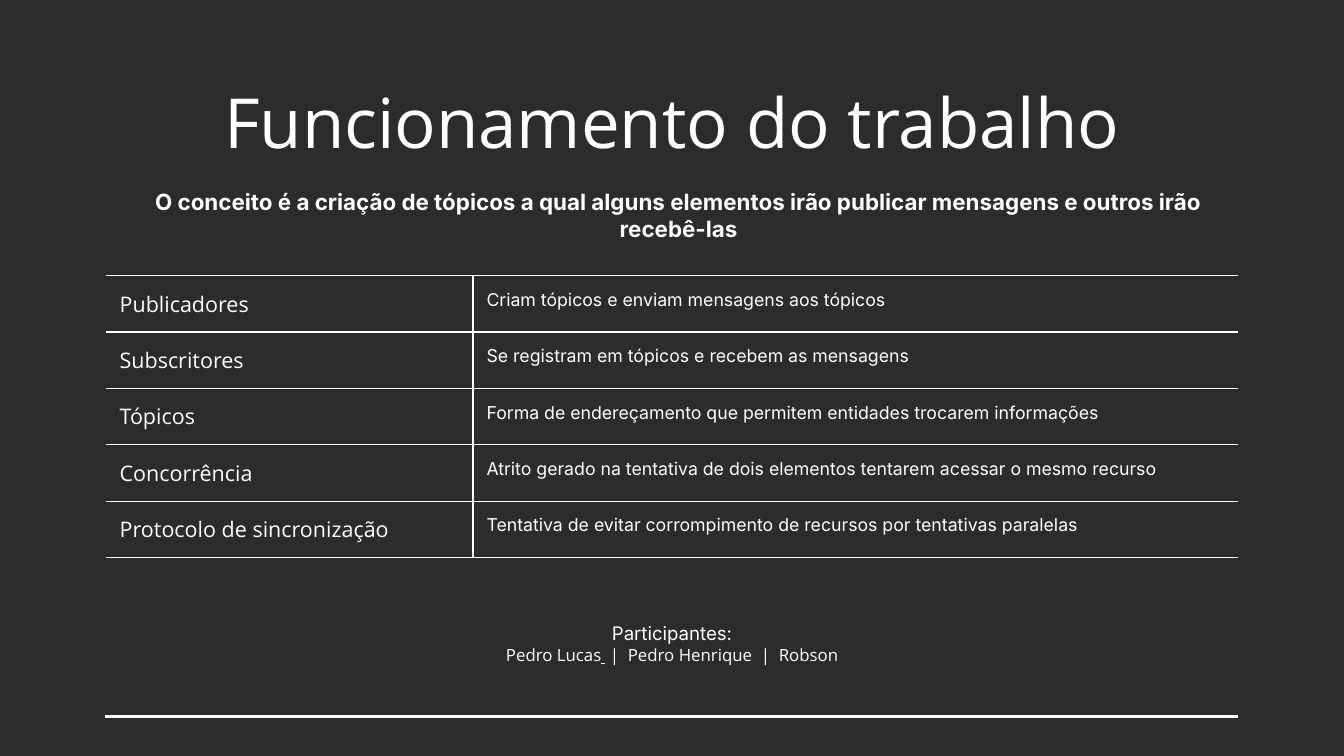
from lxml import etree
from pptx import Presentation
from pptx.dml.color import RGBColor
from pptx.enum.shapes import MSO_CONNECTOR
from pptx.enum.text import MSO_ANCHOR, PP_ALIGN
from pptx.oxml.ns import qn
from pptx.util import Inches, Pt

STRAIGHT = MSO_CONNECTOR.STRAIGHT
TOP = MSO_ANCHOR.TOP
LEFT, CENTER = PP_ALIGN.LEFT, PP_ALIGN.CENTER

COLORS = {"back": "2C2C2C", "text": "FFFFFF", "rule": "FFFFFF"}
HEAD, BODY = "Open Sans", "Inter"
PAD = 0.1
ROW = 0.42
TERMS = [
    ("Publicadores", "Criam tópicos e enviam mensagens aos tópicos"),
    ("Subscritores", "Se registram em tópicos e recebem as mensagens"),
    ("Tópicos", "Forma de endereçamento que permitem entidades trocarem informações"),
    ("Concorrência", "Atrito gerado na tentativa de dois elementos tentarem acessar o mesmo recurso"),
    ("Protocolo de sincronização", "Tentativa de evitar corrompimento de recursos por tentativas paralelas"),
]


def color(name):
    """Return the named colour."""
    return RGBColor.from_string(COLORS[name])


def add_run(para, text, font, size, bold=False, line=False):
    """Add one styled run to a paragraph."""
    run = para.add_run()
    run.text = text
    run.font.name = font
    run.font.size = Pt(size)
    run.font.bold = bold
    run.font.underline = line
    run.font.color.rgb = color("text")


def add_box(slide, box, right=PAD):
    """Add a wrapped text box and return its centred first paragraph."""
    frame = slide.shapes.add_textbox(*map(Inches, box)).text_frame
    frame.word_wrap = True
    frame.vertical_anchor = TOP
    frame.margin_left = frame.margin_top = frame.margin_bottom = Inches(PAD)
    frame.margin_right = Inches(right)
    para = frame.paragraphs[0]
    para.alignment = CENTER
    return para


def set_edges(cell, shown):
    """Draw the shown edges of a cell and clear the others."""
    props = cell._tc.get_or_add_tcPr()
    for i, side in enumerate("LRTB"):
        edge = etree.Element(qn(f"a:ln{side}"), w=str(Pt(0.75)))
        if side in shown:
            fill = etree.SubElement(edge, qn("a:solidFill"))
            etree.SubElement(fill, qn("a:srgbClr"), val=COLORS["rule"])
        else:
            etree.SubElement(edge, qn("a:noFill"))
        props.insert(i, edge)


def add_cell(cell, text, font, size, shown):
    """Fill one table cell."""
    cell.fill.background()
    cell.margin_left = cell.margin_right = Inches(PAD)
    cell.margin_top = cell.margin_bottom = Inches(PAD)
    cell.vertical_anchor = TOP
    para = cell.text_frame.paragraphs[0]
    para.alignment = LEFT
    add_run(para, text, font, size)
    set_edges(cell, shown)


def add_terms(slide, box):
    """Add the table of terms and their meanings."""
    frame = slide.shapes.add_table(len(TERMS), 2, *map(Inches, box))
    table = frame.table
    table.first_row = table.horz_banding = False
    first = 2.73
    table.columns[0].width = Inches(first)
    table.columns[1].width = Inches(box[2] - first)
    for i, (term, sense) in enumerate(TERMS):
        table.rows[i].height = Inches(ROW)
        add_cell(table.cell(i, 0), term, HEAD, 11.5, "RTB")
        add_cell(table.cell(i, 1), sense, BODY, 9.5, "LTB")


def add_team(slide, box):
    """Add the list of participants."""
    para = add_box(slide, box)
    add_run(para, "Participantes:", BODY, 10)
    para.add_line_break()
    add_run(para, "Pedro Lucas", HEAD, 9)
    add_run(para, " ", HEAD, 9, line=True)
    add_run(para, " |  Pedro Henrique  |  Robson", HEAD, 9)


def add_rule(slide, left, top, width):
    """Add the closing rule at the foot."""
    ends = map(Inches, (left, top, left + width, top))
    rule = slide.shapes.add_connector(STRAIGHT, *ends)
    rule.line.color.rgb = color("rule")
    rule.line.width = Pt(1.5)
    etree.SubElement(rule._element.spPr, qn("a:effectLst"))


def main():
    """Build the slide and save it."""
    deck = Presentation()
    deck.slide_width, deck.slide_height = Inches(10), Inches(10 * 9 / 16)
    slide = deck.slides.add_slide(deck.slide_layouts[6])
    slide.background.fill.solid()
    slide.background.fill.fore_color.rgb = color("back")
    left, width = 0.79, 8.42
    add_rule(slide, 0.78, 5.33, 8.43)
    title = add_box(slide, (left, 0.49, width, 0.63))
    add_run(title, "Funcionamento do trabalho", HEAD, 37)
    idea = add_box(slide, (left, 1.3, width, 0.52), right=0)
    add_run(idea, "O conceito é a criação de tópicos a qual alguns elementos "
            "irão publicar mensagens e outros irão recebê-las", BODY, 12, bold=True)
    add_terms(slide, (left, 2.05, width, ROW * len(TERMS)))
    add_team(slide, (3.36, 4.53, 3.28, 0.51))
    deck.save("out.pptx")


if __name__ == "__main__":
    main()
